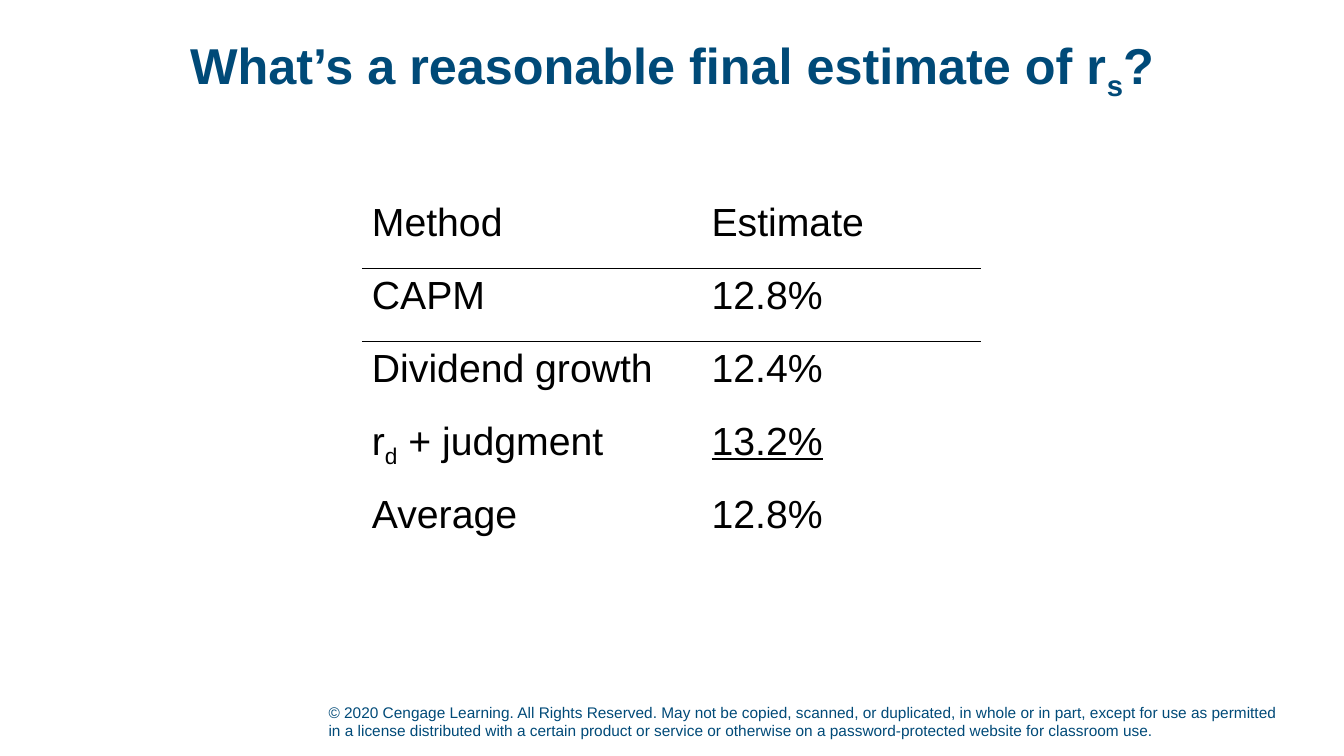
import pptx
import pptx.dml.color
import pptx.enum.text
import pptx.oxml
import pptx.oxml.ns
import pptx.util
from pptx.util import Cm

NAVY = pptx.dml.color.RGBColor(0x00, 0x4A, 0x78)
BLACK = pptx.dml.color.RGBColor(0x00, 0x00, 0x00)
FONT = "Arial"
PLAIN_TABLE_STYLE = "{2D5ABB26-0587-4C30-8999-92F81FD0307C}"

TITLE = "What’s a reasonable final estimate of r_s_?"
COPYRIGHT = (
    "© 2020 Cengage Learning. All Rights Reserved. May not be copied, scanned, "
    "or duplicated, in whole or in part, except for use as permitted in a license "
    "distributed with a certain product or service or otherwise on a "
    "password-protected website for classroom use."
)
ESTIMATES = [
    ("Method", "Estimate"),
    ("CAPM", "12.8%"),
    ("Dividend growth", "12.4%"),
    ("r_d_ + judgment", "13.2%"),
    ("Average", "12.8%"),
]
HEADER_ROW = 0
LAST_ADDEND_ROW = 3
COLUMN_WIDTHS = (Cm(8.56), Cm(7.04))
ROW_HEIGHT = Cm(1.84)


def write_text(frame, text, *, size, color, bold=False, underline=False,
               align=None, line_spacing=None):
    """Fill a text frame; text between underscores becomes a subscript."""
    paragraph = frame.paragraphs[0]
    paragraph.alignment = align
    paragraph.line_spacing = line_spacing
    for index, part in enumerate(text.split("_")):
        run = paragraph.add_run()
        run.text = part
        font = run.font
        font.name = FONT
        font.size = pptx.util.Pt(size)
        font.bold = bold
        font.underline = underline
        font.color.rgb = color
        if index % 2:
            font._element.set("baseline", "-25000")


def place(shape, left, top, width, height):
    shape.left, shape.top = Cm(left), Cm(top)
    shape.width, shape.height = Cm(width), Cm(height)


def add_title(slide):
    title = slide.shapes.title
    place(title, 2.33, 0.38, 29.21, 2.54)
    frame = title.text_frame
    frame.auto_size = pptx.enum.text.MSO_AUTO_SIZE.NONE
    frame.vertical_anchor = pptx.enum.text.MSO_ANCHOR.MIDDLE
    write_text(frame, TITLE, size=36, color=NAVY, bold=True,
               align=pptx.enum.text.PP_ALIGN.CENTER, line_spacing=0.9)


def add_cell_border(cell, side):
    """Draw a 1 pt black line on one side of a cell: lnT or lnB."""
    border = pptx.oxml.parse_xml(
        f'<a:{side} {pptx.oxml.ns.nsdecls("a")} w="12700"><a:solidFill>'
        f'<a:srgbClr val="{BLACK}"/></a:solidFill></a:{side}>'
    )
    cell._tc.get_or_add_tcPr().insert(0, border)


def add_estimate_table(slide):
    table = slide.shapes.add_table(
        len(ESTIMATES), len(COLUMN_WIDTHS), Cm(9.12), Cm(4.93),
        sum(COLUMN_WIDTHS), ROW_HEIGHT * len(ESTIMATES),
    ).table
    table.first_row = False
    table.horz_banding = False
    style = table._tbl.tblPr.find(pptx.oxml.ns.qn("a:tableStyleId"))
    style.text = PLAIN_TABLE_STYLE
    for column, width in zip(table.columns, COLUMN_WIDTHS):
        column.width = width

    for row_index, values in enumerate(ESTIMATES):
        table.rows[row_index].height = ROW_HEIGHT
        for column_index, value in enumerate(values):
            cell = table.cell(row_index, column_index)
            cell.fill.background()
            # The last value before the average is underlined
            underline = row_index == LAST_ADDEND_ROW and column_index == 1
            write_text(cell.text_frame, value, size=28, color=BLACK,
                       underline=underline)
            # Rule between the header and the first method
            if row_index == HEADER_ROW:
                add_cell_border(cell, "lnB")
            elif row_index == HEADER_ROW + 1:
                add_cell_border(cell, "lnT")


def add_copyright(slide):
    box = slide.shapes.add_textbox(Cm(8.03), Cm(17.5), Cm(24.46), Cm(1.27))
    frame = box.text_frame
    frame.word_wrap = True
    frame.vertical_anchor = pptx.enum.text.MSO_ANCHOR.BOTTOM
    write_text(frame, COPYRIGHT, size=11, color=NAVY)


def main():
    presentation = pptx.Presentation()
    presentation.slide_width = Cm(33.87)
    presentation.slide_height = Cm(19.05)
    title_only = presentation.slide_layouts.get_by_name("Title Only")
    slide = presentation.slides.add_slide(title_only)

    add_title(slide)
    add_estimate_table(slide)
    add_copyright(slide)
    presentation.save("out.pptx")


if __name__ == "__main__":
    main()
